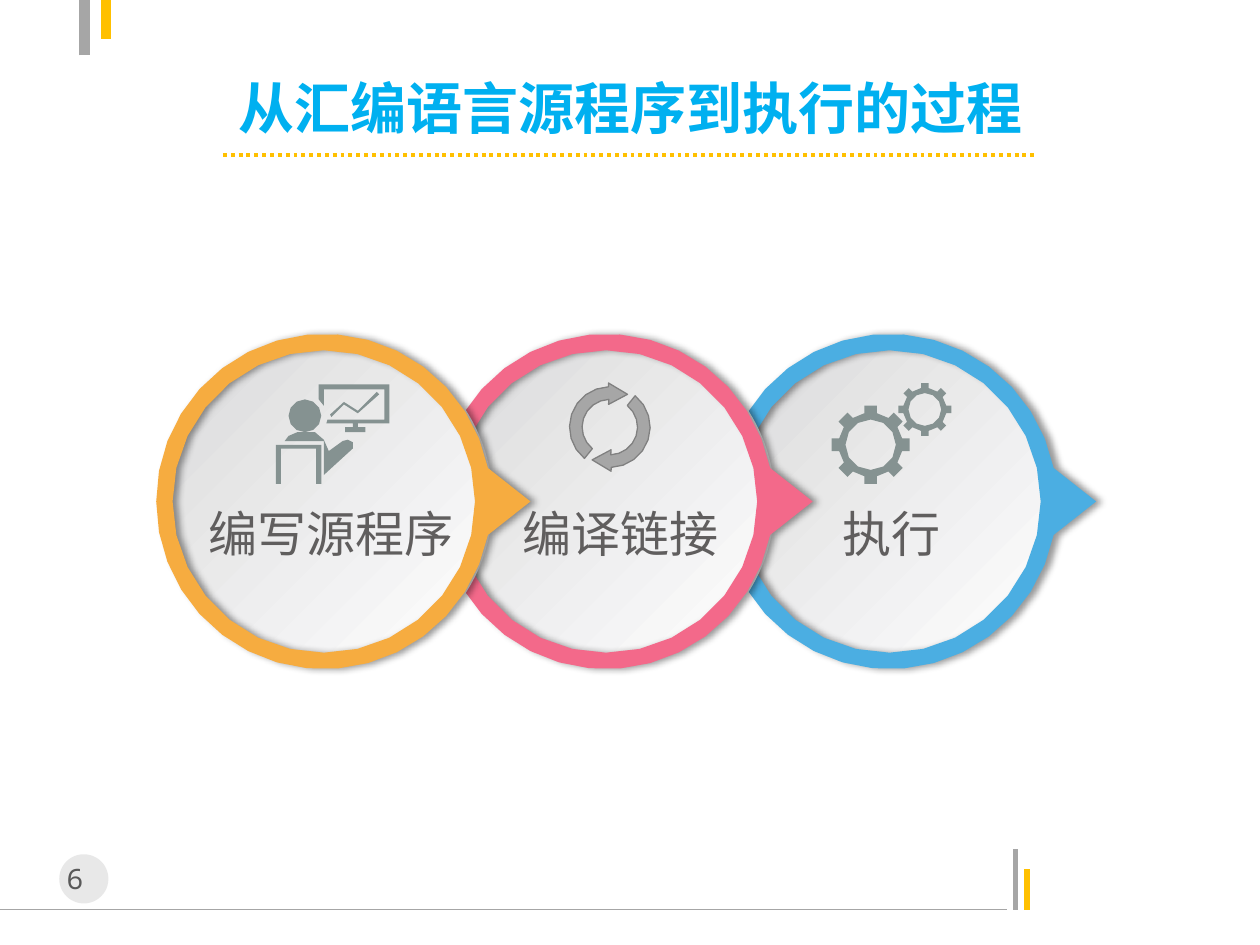
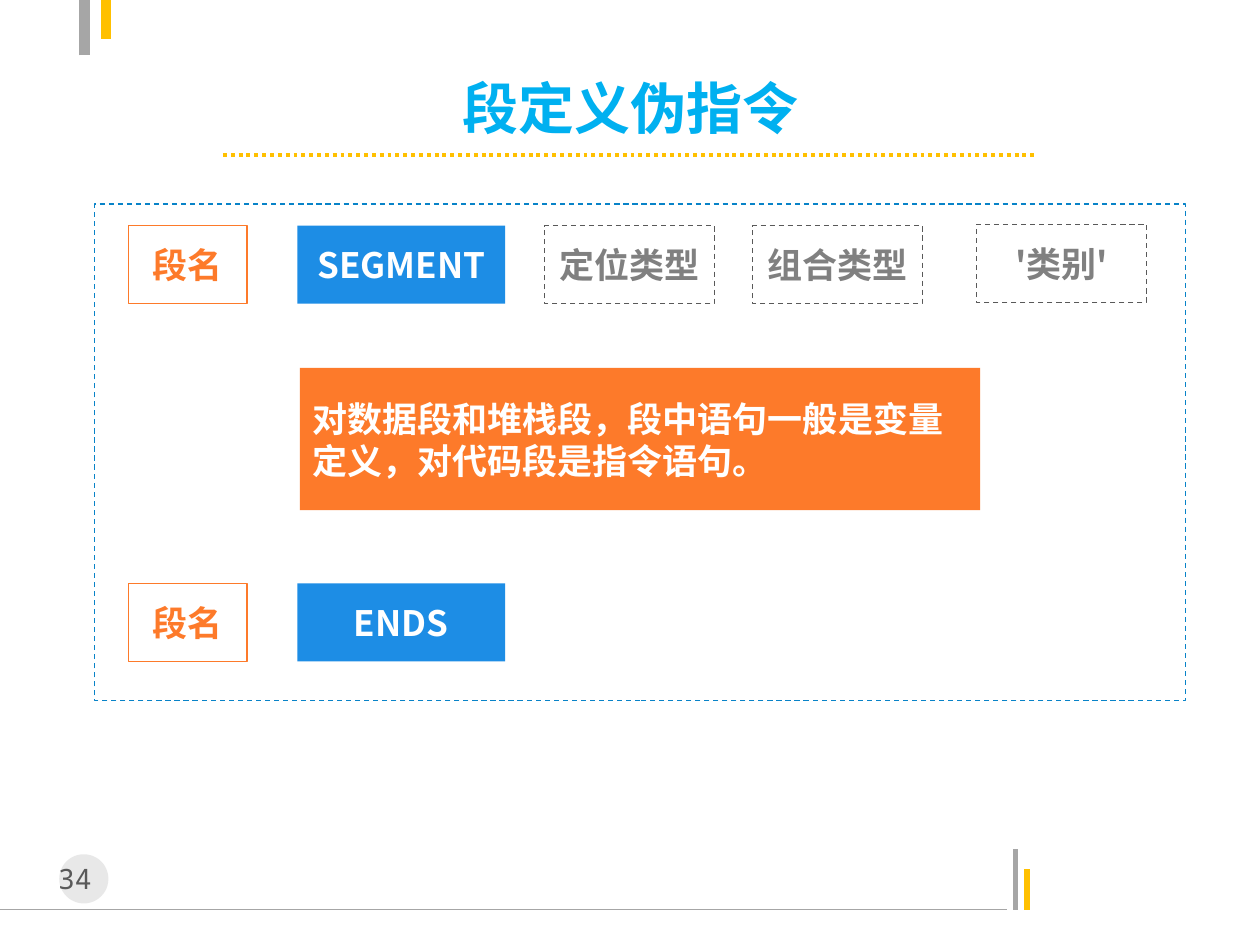
from dataclasses import dataclass
from math import cos, radians, sin
from lxml.etree import SubElement
from pptx import Presentation
from pptx.dml.color import RGBColor
from pptx.enum.dml import MSO_LINE
from pptx.enum.shapes import MSO_CONNECTOR, MSO_SHAPE
from pptx.enum.text import MSO_ANCHOR, PP_ALIGN
from pptx.oxml.ns import qn
from pptx.util import Inches, Pt


@dataclass(frozen=True)
class Theme:
    sans: str = "Noto Sans CJK SC"
    mono: str = "Noto Sans Mono"
    thin: str = "Arial Narrow"
    title: int = 32
    label: int = 28
    body: int = 20
    page: int = 16
    sky: RGBColor = RGBColor(0x00, 0xB0, 0xF0)
    gold: RGBColor = RGBColor(0xFF, 0xC0, 0x00)
    grey: RGBColor = RGBColor(0xA6, 0xA6, 0xA6)
    pale: RGBColor = RGBColor(0xBF, 0xBF, 0xBF)
    dark: RGBColor = RGBColor(0x59, 0x59, 0x59)
    mid: RGBColor = RGBColor(0x80, 0x80, 0x80)
    ink: RGBColor = RGBColor(0x60, 0x5E, 0x5E)
    white: RGBColor = RGBColor(0xFF, 0xFF, 0xFF)
    mist: RGBColor = RGBColor(0xD9, 0xD9, 0xDA)
    slate: RGBColor = RGBColor(0x85, 0x92, 0x91)
    amber: RGBColor = RGBColor(0xF6, 0xAC, 0x40)
    rose: RGBColor = RGBColor(0xF3, 0x69, 0x8A)
    azure: RGBColor = RGBColor(0x4B, 0xAE, 0xE2)
    flame: RGBColor = RGBColor(0xFD, 0x7A, 0x2A)
    blue: RGBColor = RGBColor(0x1D, 0x8D, 0xE5)
    edge: RGBColor = RGBColor(0x08, 0x83, 0xC8)


T = Theme()


def arc(x, y, r, start=0, end=360, steps=12):
    turns = [radians(start + (end - start) * i / steps) for i in range(steps + 1)]
    return [(x + r * cos(t), y + r * sin(t)) for t in turns]


def write(shape, text, font, size, color, bold=False, align=PP_ALIGN.CENTER, wrap=True):
    frame = shape.text_frame
    frame.word_wrap = wrap
    frame.text = text
    para = frame.paragraphs[0]
    para.alignment = align
    para.font.name = font
    para.font.size = Pt(size)
    para.font.bold = bold
    para.font.color.rgb = color
    return frame


deck = Presentation()
deck.slide_width, deck.slide_height = Inches(10), Inches(7.5)

rules = [
    (0, 7.22, 7.99, 7.22, T.grey, 0.75, None),
    (8.06, 7.22, 8.06, 6.74, T.grey, 3, None),
    (8.15, 7.22, 8.15, 6.9, T.gold, 3, None),
    (0.67, 0.44, 0.67, 0, T.grey, 6, None),
    (0.84, 0, 0.84, 0.31, T.gold, 6, None),
    (1.77, 1.23, 8.23, 1.23, T.gold, 2.25, MSO_LINE.ROUND_DOT),
]
slides = []
for page, title in (("6", "从汇编语言源程序到执行的过程"), ("34", "段定义伪指令")):
    slide = deck.slides.add_slide(deck.slide_layouts[6])
    slides.append(slide)
    for x1, y1, x2, y2, color, width, dash in rules:
        line = slide.shapes.add_connector(
            MSO_CONNECTOR.STRAIGHT, Inches(x1), Inches(y1), Inches(x2), Inches(y2))
        line.line.color.rgb = color
        line.line.width = Pt(width)
        line.line.dash_style = dash
        SubElement(line._element.spPr, qn("a:effectLst"))
    dot = slide.shapes.add_shape(
        MSO_SHAPE.OVAL, Inches(0.47), Inches(6.78), Inches(0.39), Inches(0.39))
    dot.shadow.inherit = False
    dot.fill.solid()
    dot.fill.fore_color.rgb = T.pale
    dot.line.fill.background()
    tint = dot._element.spPr.find(qn("a:solidFill"))[0]
    SubElement(tint, qn("a:alpha"), val="35000")
    box = slide.shapes.add_textbox(Inches(0.24), Inches(6.79), Inches(0.71), Inches(0.37))
    write(box, page, T.mono, T.page, T.dark)
    box = slide.shapes.add_textbox(Inches(1.38), Inches(0.6), Inches(7.25), Inches(0.5))
    frame = write(box, title, T.sans, T.title, T.sky, True, wrap=False)
    frame.vertical_anchor = MSO_ANCHOR.MIDDLE

flow, form = slides

parts = []
mid, wide = 3.98, 1.33
for x, color in ((7.06, T.azure), (4.81, T.rose), (2.57, T.amber)):
    drop = arc(x, mid, wide, 348.5, 11.5, 32) + [(x + 1.64, mid)]
    parts.append(([drop, arc(x, mid, 1.2, steps=28)], color, x))

chair = [(2.55, 3.53), (2.19, 3.53), (2.19, 3.84), (2.23, 3.84), (2.23, 3.56),
         (2.51, 3.56), (2.51, 3.84), (2.55, 3.84)]
torso = [(2.26, 3.5), (2.29, 3.46), (2.36, 3.43), (2.5, 3.43), (2.57, 3.49),
         (2.61, 3.58), (2.72, 3.5), (2.76, 3.49), (2.8, 3.51), (2.8, 3.56),
         (2.57, 3.77), (2.57, 3.5)]
graph = [(2.99, 3.11), (2.84, 3.26), (2.73, 3.19), (2.62, 3.29), (2.63, 3.31),
         (2.73, 3.21), (2.84, 3.28), (3.01, 3.13)]
board = [(3.09, 3.05), (2.53, 3.05), (2.53, 3.17), (2.57, 3.22), (2.57, 3.09),
         (3.05, 3.09), (3.05, 3.33), (2.6, 3.33), (2.59, 3.36), (2.8, 3.36),
         (2.8, 3.39), (2.74, 3.39), (2.74, 3.43), (2.9, 3.43), (2.9, 3.39),
         (2.84, 3.39), (2.84, 3.36), (3.09, 3.36)]
parts.append(([chair, arc(2.42, 3.3, 0.13), torso, graph, board], T.slate, None))

gears = []
for x, y, tip, rim, hole, half in ((6.91, 3.53, 0.31, 0.25, 0.2, 0.05),
                                   (7.34, 3.25, 0.21, 0.17, 0.13, 0.03)):
    teeth = []
    for k in range(8):
        c, s = cos(radians(45 * k)), sin(radians(45 * k))
        tooth = [(rim, -half), (tip, -half), (tip, half), (rim, half)]
        teeth += [(x + u * c - v * s, y + u * s + v * c) for u, v in tooth]
    gears += [teeth, arc(x, y, hole)]
parts.append((gears, T.slate, None))

x, y = 4.84, 3.39
swoop = arc(x, y, 0.32, -51, 88, 8)
swoop += [(x + 0.01, y + 0.35), (x - 0.14, y + 0.26), (x + 0.01, y + 0.18)]
swoop += arc(x, y, 0.22, 88, -51, 8)
twin = [(2 * x - u, 2 * y - v) for u, v in swoop]
parts.append(([swoop, twin], T.grey, None))

for loops, color, hub in parts:
    if hub:
        disc = flow.shapes.add_shape(
            MSO_SHAPE.OVAL, Inches(hub - wide), Inches(mid - wide),
            Inches(2 * wide), Inches(2 * wide))
        disc.shadow.inherit = False
        disc.fill.gradient()
        disc.fill.gradient_angle = 315
        for stop, shade, place in zip(disc.fill.gradient_stops, (T.mist, T.white), (0, 1)):
            stop.color.rgb = shade
            stop.position = place
        disc.line.color.rgb = T.white
        disc.line.width = Pt(1.5)
    loops = [[(Inches(u), Inches(v)) for u, v in loop] for loop in loops]
    pen = flow.shapes.build_freeform(*loops[0][0])
    pen.add_line_segments(loops[0][1:])
    for loop in loops[1:]:
        pen.move_to(*loop[0])
        pen.add_line_segments(loop[1:])
    shape = pen.convert_to_shape()
    shape.shadow.inherit = False
    shape.fill.solid()
    shape.fill.fore_color.rgb = color
    if color == T.grey:
        shape.line.color.rgb = T.mid
        shape.line.width = Pt(0.75)
    else:
        shape.line.fill.background()
    if hub:
        glow = shape._element.spPr.find(qn("a:effectLst"))
        cast = SubElement(glow, qn("a:outerShdw"), blurRad=str(Pt(4)), dist=str(Pt(3)),
                          dir="0", algn="l", rotWithShape="0")
        black = SubElement(cast, qn("a:srgbClr"), val="000000")
        SubElement(black, qn("a:alpha"), val="40000")

for left, width, text in ((1.56, 2.17, "编写源程序"), (4.05, 1.77, "编译链接"), (6.59, 0.99, "执行")):
    box = flow.shapes.add_textbox(Inches(left), Inches(3.95), Inches(width), Inches(0.57))
    write(box, text, T.thin, T.label, T.ink, align=PP_ALIGN.LEFT, wrap=False)

top, base, high = 1.79, 4.63, 0.62
note = "对数据段和堆栈段，段中语句一般是变量定义，对代码段是指令语句。"
boxes = [
    (0.75, 1.62, 8.66, 3.94, "", None, T.edge, True, T.edge),
    (2.38, 2.92, 5.4, 1.13, note, T.flame, None, False, T.white),
]
for y, word in ((top, "SEGMENT"), (base, "ENDS")):
    boxes.append((1.02, y, 0.94, high, "段名", None, T.flame, False, T.flame))
    boxes.append((2.36, y, 1.65, high, word, T.blue, None, False, T.white))
for x, y, word in ((4.32, top, "定位类型"), (5.97, top, "组合类型"), (7.75, 1.78, "'类别'")):
    boxes.append((x, y, 1.35, high, word, None, T.dark, True, T.mid))

for x, y, width, tall, text, fill, edge, dash, color in boxes:
    shape = form.shapes.add_shape(
        MSO_SHAPE.RECTANGLE, Inches(x), Inches(y), Inches(width), Inches(tall))
    shape.shadow.inherit = False
    if fill is None:
        shape.fill.background()
    else:
        shape.fill.solid()
        shape.fill.fore_color.rgb = fill
    if edge is None:
        shape.line.fill.background()
    else:
        shape.line.color.rgb = edge
        shape.line.width = Pt(0.75)
        shape.line.dash_style = MSO_LINE.DASH if dash else None
    if text:
        align = PP_ALIGN.LEFT if text == note else PP_ALIGN.CENTER
        frame = write(shape, text, T.sans, T.body, color, True, align)
        frame.vertical_anchor = MSO_ANCHOR.MIDDLE

deck.save("out.pptx")
